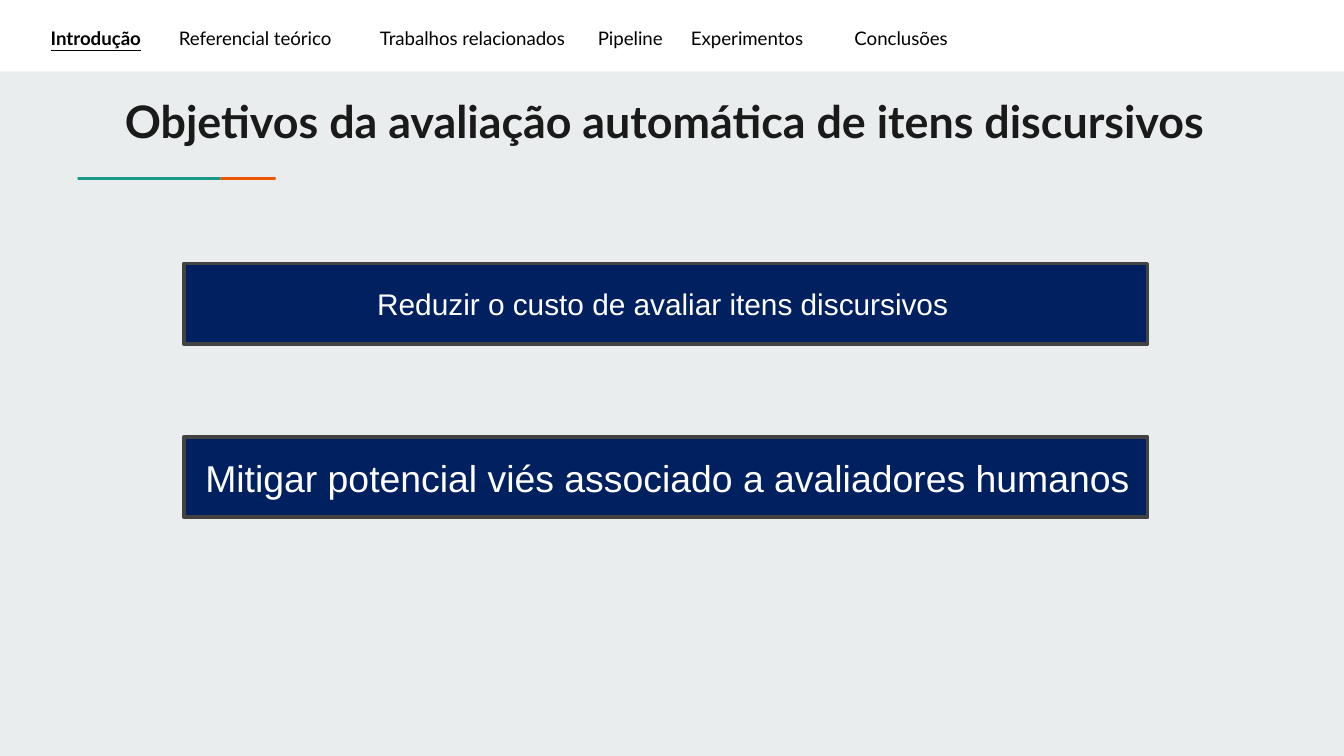
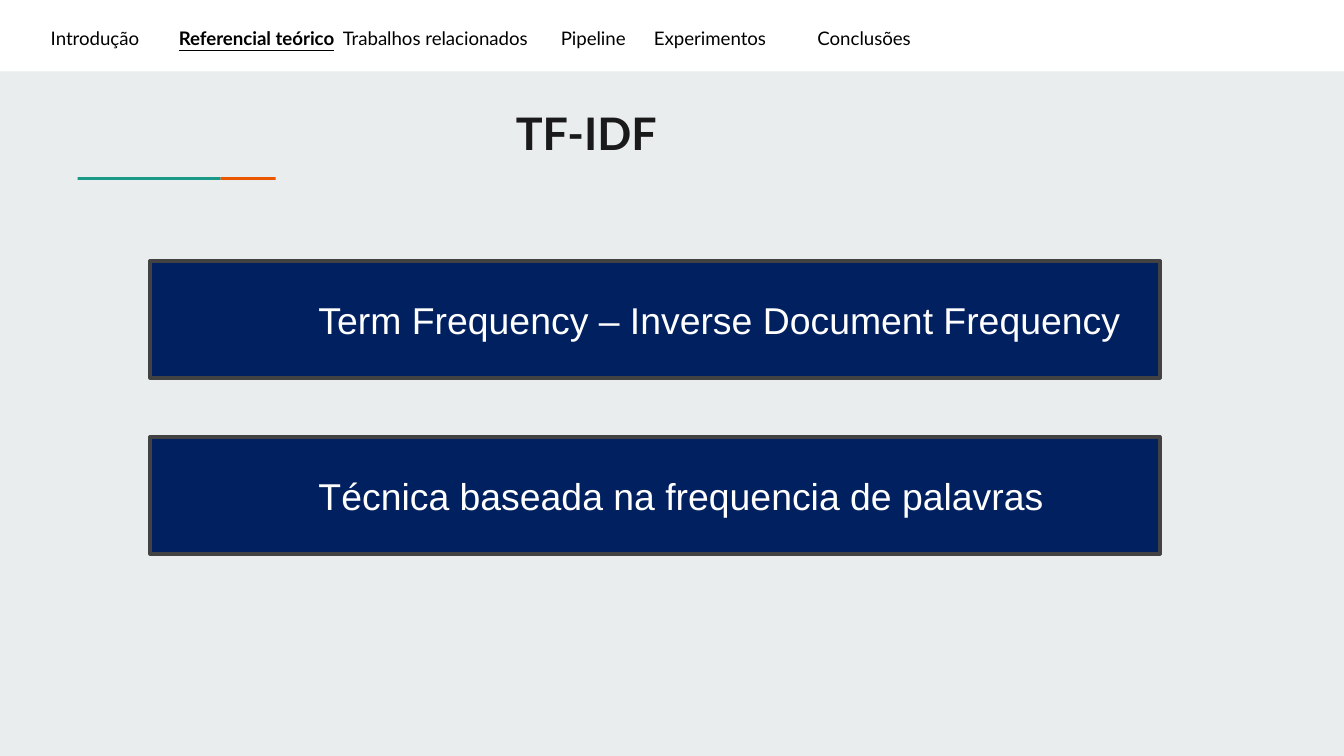
from lxml import etree
from pptx import Presentation
from pptx import util as u
from pptx.dml.color import RGBColor
from pptx.enum import shapes, text
from pptx.oxml.ns import qn

BACKGROUND = RGBColor(0xE9, 0xED, 0xEE)
WHITE = RGBColor(0xFF, 0xFF, 0xFF)
BLACK = RGBColor(0x00, 0x00, 0x00)
TITLE_INK = RGBColor(0x1A, 0x1A, 0x1A)
TEAL = RGBColor(0x1A, 0x99, 0x88)
ORANGE = RGBColor(0xEB, 0x56, 0x00)
NAVY = RGBColor(0x00, 0x20, 0x60)
BORDER = RGBColor(0x42, 0x42, 0x42)

SECTIONS = ("Introdução", "Referencial teórico", "Trabalhos relacionados",
            "Pipeline", "Experimentos", "Conclusões")
LATER_OFFSETS = (0, 4.12, 5.88, 8.97)


class Deck:
    navigation_format = {"name": "Lato", "size": u.Pt(10)}
    title_format = {"name": "Lato", "size": u.Pt(24), "bold": True}
    panel_format = {"name": "Arial"}
    margins = ("margin_left", "margin_top", "margin_right", "margin_bottom")

    def __init__(self):
        self.presentation = Presentation()
        self.presentation.slide_width = u.Cm(25.4)
        self.presentation.slide_height = u.Cm(14.29)
        self.slide = None

    def add_slide(self, section, later_sections_at):
        self.slide = self.presentation.slides.add_slide(self.presentation.slide_layouts[6])
        fill = self.slide.background.fill
        fill.solid()
        fill.fore_color.rgb = BACKGROUND
        self.rectangle(0, 0, 25.4, 1.35, WHITE)
        self.rectangle(1.47, 3.35, 2.7, 0.05, TEAL)
        self.rectangle(4.17, 3.35, 1.04, 0.05, ORANGE)
        self.navigation(section, later_sections_at)

    def rectangle(self, left, top, width, height, color):
        shape = self.slide.shapes.add_shape(
            shapes.MSO_SHAPE.RECTANGLE, u.Cm(left), u.Cm(top), u.Cm(width), u.Cm(height))
        shape.shadow.inherit = False
        shape.fill.solid()
        shape.fill.fore_color.rgb = color
        shape.line.fill.background()
        return shape

    def text_box(self, left, top, width, height):
        shape = self.slide.shapes.add_textbox(u.Cm(left), u.Cm(top), u.Cm(width), u.Cm(height))
        frame = shape.text_frame
        frame.word_wrap = True
        for margin in self.margins:
            setattr(frame, margin, u.Cm(0.25))
        return frame.paragraphs[0]

    def add_text(self, paragraph, content, color, style):
        run = paragraph.add_run()
        run.text = content
        run.font.color.rgb = color
        for name, value in style.items():
            setattr(run.font, name, value)

    def indent(self, paragraph, distance):
        paragraph.alignment = text.PP_ALIGN.LEFT
        paragraph._p.get_or_add_pPr().set("marL", str(u.Cm(distance)))

    def navigation(self, section, later_sections_at):
        paragraph = self.text_box(0.71, 0.3, 18.72, 0.76)
        stops = etree.SubElement(paragraph._p.get_or_add_pPr(), qn("a:tabLst"))
        for position in (2.42, *(later_sections_at + offset for offset in LATER_OFFSETS)):
            etree.SubElement(stops, qn("a:tab"), pos=str(u.Cm(position)), algn="l")
        for index, name in enumerate(SECTIONS):
            if index:
                self.add_text(paragraph, "\t", BLACK, self.navigation_format)
            current = name == section
            style = self.navigation_format | {"bold": current, "underline": current}
            self.add_text(paragraph, name, BLACK, style)

    def title(self, content, left, top, width, indent=0):
        paragraph = self.text_box(left, top, width, 1.37)
        self.indent(paragraph, indent)
        self.add_text(paragraph, content, TITLE_INK, self.title_format)

    def panel(self, content, left, top, width, height, indent, size=20):
        shape = self.rectangle(left, top, width, height, NAVY)
        shape.line.color.rgb = BORDER
        shape.line.width = u.Pt(2)
        etree.SubElement(shape._element.spPr.find(qn("a:ln")), qn("a:round"))
        frame = shape.text_frame
        frame.word_wrap = True
        frame.vertical_anchor = text.MSO_ANCHOR.MIDDLE
        paragraph = frame.paragraphs[0]
        self.indent(paragraph, indent)
        self.add_text(paragraph, content, WHITE, self.panel_format | {"size": u.Pt(size)})


def main():
    deck = Deck()

    deck.add_slide("Introdução", 6.22)
    goal = {"left": 3.48, "width": 18.21, "height": 1.52}
    deck.panel("Reduzir o custo de avaliar itens discursivos",
               top=4.98, indent=3.4, size=16, **goal)
    deck.panel("Mitigar potencial viés associado a avaliadores humanos",
               top=8.26, indent=0.15, **goal)
    deck.title("Objetivos da avaliação automática de itens discursivos", 2.11, 1.52, 21.62)

    deck.add_slide("Referencial teórico", 5.52)
    deck.title("TF-IDF", 5.21, 1.75, 21.11, indent=4.29)
    definition = {"left": 2.84, "width": 19.08, "height": 2.21, "indent": 2.93}
    deck.panel("Term Frequency – Inverse Document Frequency", top=4.93, **definition)
    deck.panel("Técnica baseada na frequencia de palavras", top=8.26, **definition)

    deck.presentation.save("out.pptx")


if __name__ == "__main__":
    main()
